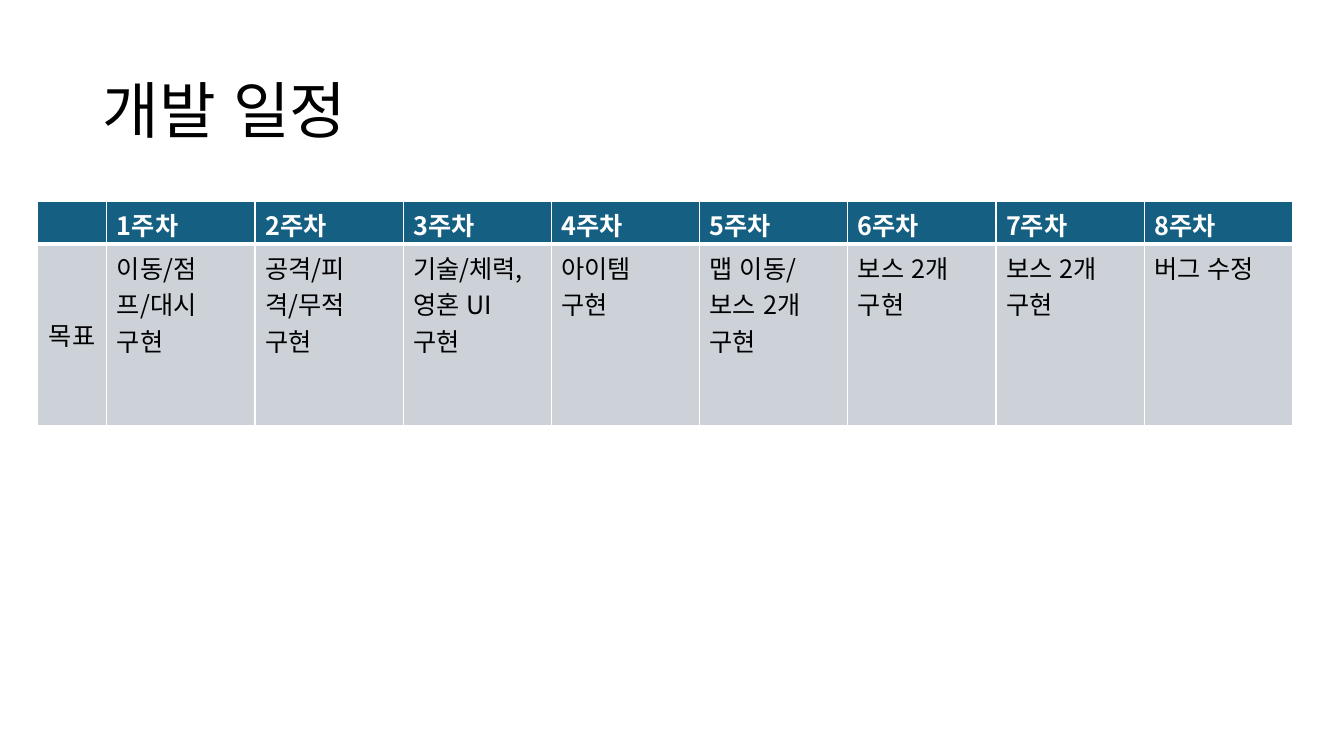
from lxml import etree
from pptx import Presentation
from pptx.dml.color import RGBColor
from pptx.enum.lang import MSO_LANGUAGE_ID
from pptx.enum.text import MSO_ANCHOR, PP_ALIGN
from pptx.oxml.ns import qn
from pptx.util import Inches, Pt

BLACK = RGBColor(0x00, 0x00, 0x00)
WHITE = RGBColor(0xFF, 0xFF, 0xFF)
HEADER_BLUE = RGBColor(0x15, 0x60, 0x82)
BODY_GRAY = RGBColor(0xCC, 0xD2, 0xD8)
LEFT = PP_ALIGN.LEFT
CENTER = PP_ALIGN.CENTER
TOP = MSO_ANCHOR.TOP
MIDDLE = MSO_ANCHOR.MIDDLE
KOREAN = MSO_LANGUAGE_ID.KOREAN

FONT = "Noto Sans CJK KR"
WEEKLY_GOALS = [
    "이동/점프/대시\n구현",
    "공격/피격/무적\n구현",
    "기술/체력, 영혼 UI\n구현",
    "아이템\n구현",
    "맵 이동/ 보스 2개 구현",
    "보스 2개 구현",
    "보스 2개 구현",
    "버그 수정",
]


def write_text(text_frame, text, size=18, color=BLACK, bold=False,
               align=LEFT, line_spacing=None):
    text_frame.text = text
    for paragraph in text_frame.paragraphs:
        paragraph.alignment = align
        paragraph.line_spacing = line_spacing
        for run in paragraph.runs:
            font = run.font
            font.name = FONT
            font.size = Pt(size)
            font.bold = bold
            font.color.rgb = color
            font.language_id = KOREAN
            east_asian = etree.SubElement(run._r.get_or_add_rPr(), qn("a:ea"))
            east_asian.set("typeface", FONT)


class ScheduleSlide:
    def __init__(self, presentation):
        self.slide = presentation.slides.add_slide(presentation.slide_layouts[6])

    def add_title(self, text, left, top, width, height):
        box = self.slide.shapes.add_textbox(
            Inches(left), Inches(top), Inches(width), Inches(height))
        box.text_frame.word_wrap = True
        box.text_frame.vertical_anchor = MIDDLE
        write_text(box.text_frame, text, size=44, line_spacing=0.9)

    def add_schedule(self, rows, left, top, column_widths, row_heights):
        frame = self.slide.shapes.add_table(
            len(rows), len(column_widths), Inches(left), Inches(top),
            Inches(sum(column_widths)), Inches(sum(row_heights)))
        table = frame.table
        for column, width in zip(table.columns, column_widths):
            column.width = Inches(width)
        for row, height in zip(table.rows, row_heights):
            row.height = Inches(height)
        for row_index, texts in enumerate(rows):
            for column_index, text in enumerate(texts):
                self.style_cell(table.cell(row_index, column_index), text,
                                is_header=row_index == 0,
                                is_label=row_index > 0 and column_index == 0)

    def style_cell(self, cell, text, is_header, is_label):
        cell.fill.solid()
        cell.fill.fore_color.rgb = HEADER_BLUE if is_header else BODY_GRAY
        cell.vertical_anchor = MIDDLE if is_label else TOP
        write_text(cell.text_frame, text, bold=is_header,
                   color=WHITE if is_header else BLACK,
                   align=CENTER if is_label else LEFT)
        self.add_borders(cell, top=1 if is_header else 3,
                         bottom=3 if is_header else 1)

    def add_borders(self, cell, top, bottom):
        properties = cell._tc.get_or_add_tcPr()
        widths = {"a:lnL": 1, "a:lnR": 1, "a:lnT": top, "a:lnB": bottom}
        for position, (tag, width) in enumerate(widths.items()):
            line = etree.Element(qn(tag), w=str(Pt(width)))
            fill = etree.SubElement(line, qn("a:solidFill"))
            etree.SubElement(fill, qn("a:srgbClr"), val=str(WHITE))
            properties.insert(position, line)


def main():
    presentation = Presentation()
    presentation.slide_width = Inches(13.33)
    presentation.slide_height = Inches(7.5)
    schedule = ScheduleSlide(presentation)
    schedule.add_title("개발 일정", 0.92, 0.4, 11.5, 1.45)
    weeks = len(WEEKLY_GOALS)
    header = [""] + [f"{week}주차" for week in range(1, weeks + 1)]
    goals = ["목표"] + WEEKLY_GOALS
    schedule.add_schedule([header, goals], 0.37, 2,
                          column_widths=[0.69] + [1.47] * weeks,
                          row_heights=[0.42, 1.8])
    presentation.save("out.pptx")


if __name__ == "__main__":
    main()
